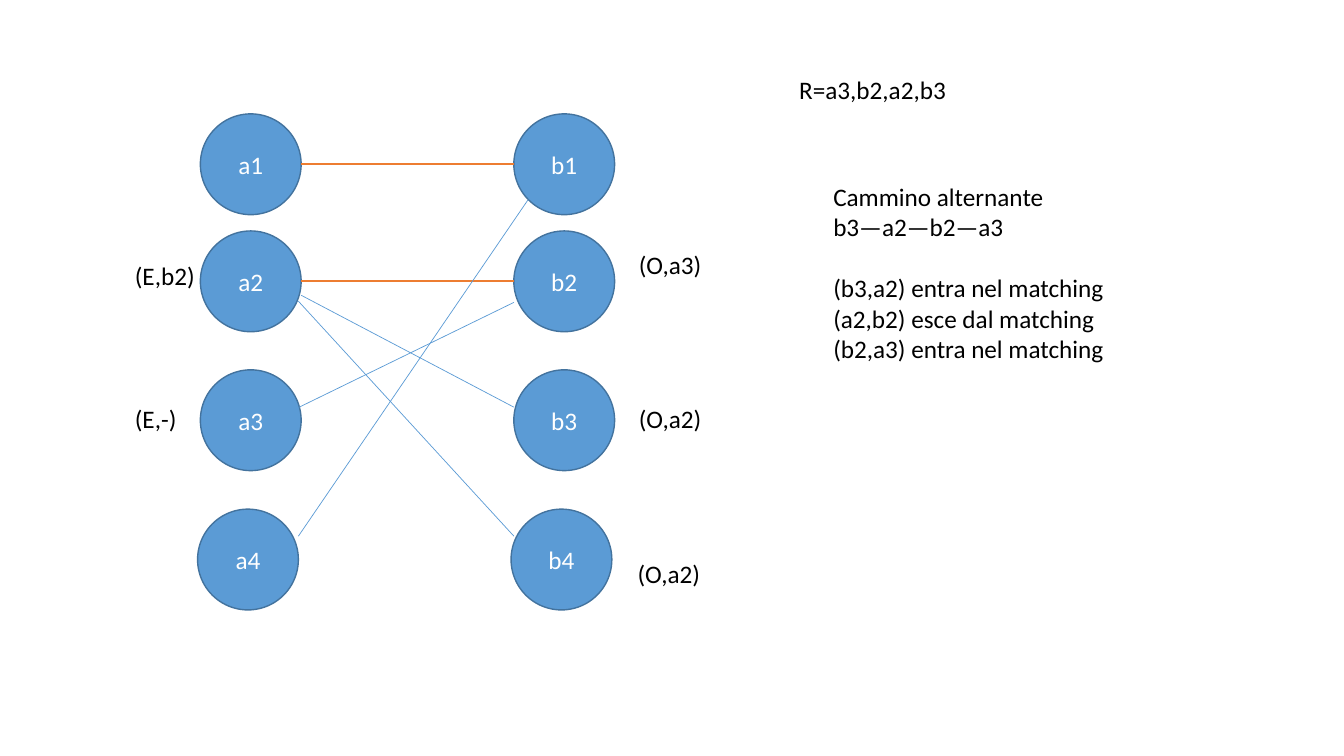
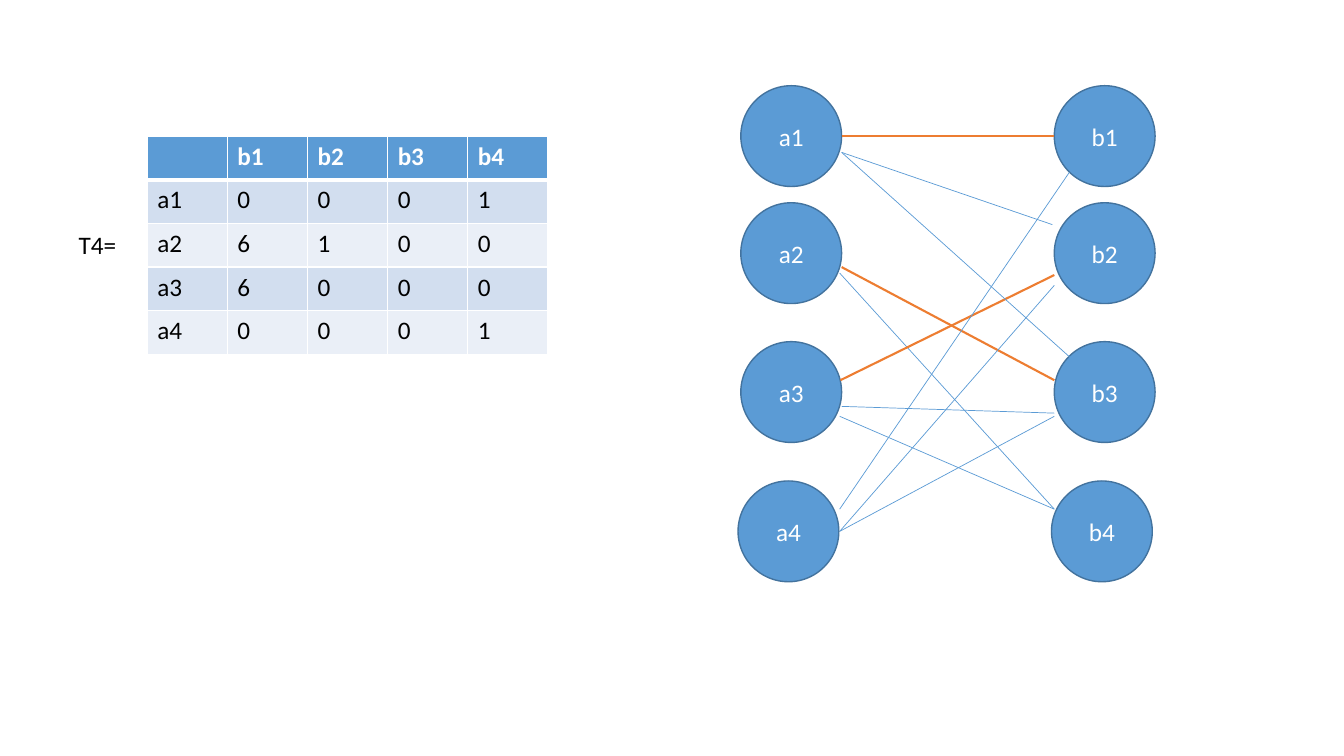
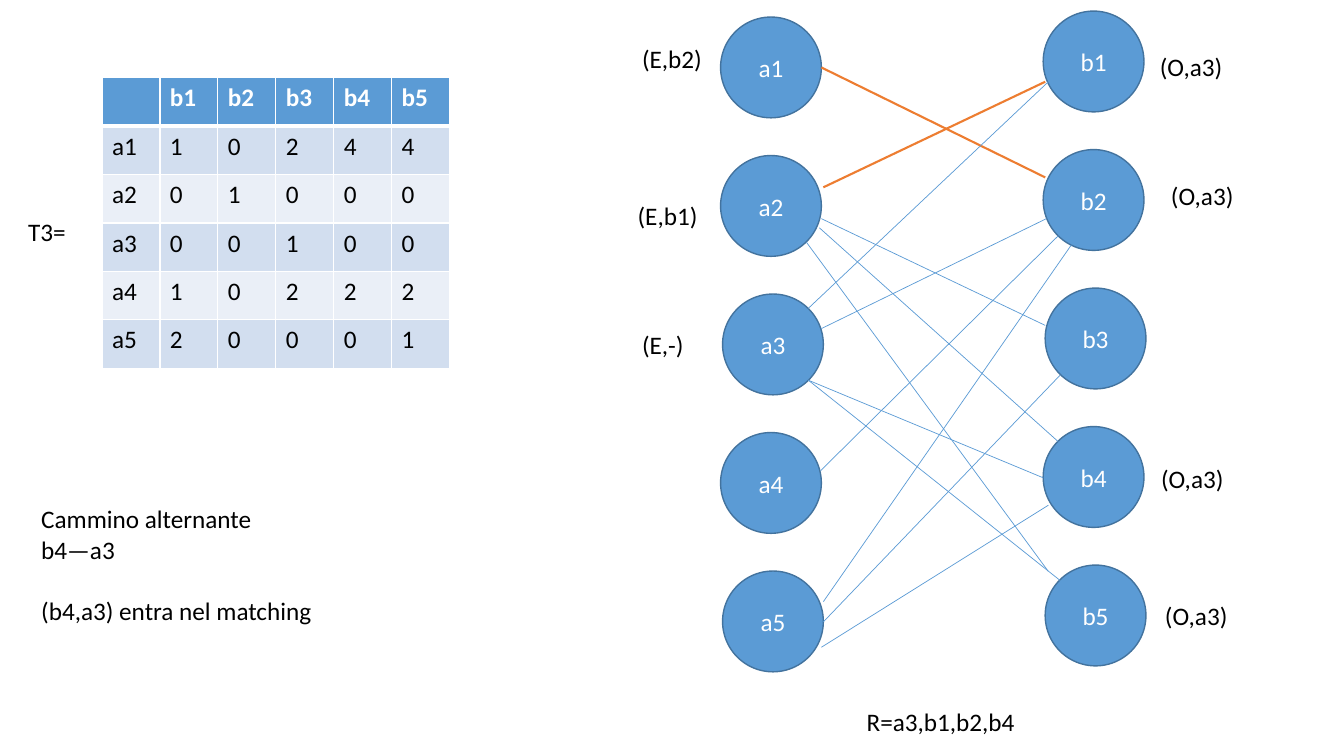
from dataclasses import dataclass

from lxml import etree
from pptx import Presentation
from pptx.dml.color import RGBColor
from pptx.enum.shapes import MSO_CONNECTOR, MSO_SHAPE
from pptx.enum.text import MSO_ANCHOR, MSO_AUTO_SIZE, PP_ALIGN
from pptx.oxml.ns import qn
from pptx.util import Cm, Pt

# Shared look
BLUE = RGBColor(0x5B, 0x9B, 0xD5)
DARK_BLUE = RGBColor(0x43, 0x73, 0x9E)
ORANGE = RGBColor(0xED, 0x7D, 0x31)
BAND_DARK = RGBColor(0xD2, 0xDE, 0xEF)
BAND_LIGHT = RGBColor(0xEA, 0xEF, 0xF7)
WHITE = RGBColor(0xFF, 0xFF, 0xFF)
BLACK = RGBColor(0x00, 0x00, 0x00)

OVAL = MSO_SHAPE.OVAL
STRAIGHT = MSO_CONNECTOR.STRAIGHT
MIDDLE = MSO_ANCHOR.MIDDLE
CENTER = PP_ALIGN.CENTER
FIT_SHAPE = MSO_AUTO_SIZE.SHAPE_TO_FIT_TEXT

BODY_FONT = {"name": "Calibri", "size": Pt(18), "bold": False}
HEADER_FONT = {**BODY_FONT, "bold": True}
LINE_HEIGHT = 0.78
TEXT_INSETS = 0.25
BLOCK_GAP = Pt(22)
DIAMETER = 2.54


# All lengths below are in centimetres
@dataclass(frozen=True)
class Column:
    letter: str
    lefts: tuple[float, ...]
    tops: tuple[float, ...]

    def moved(self, right: float, down: float) -> "Column":
        return Column(self.letter,
                      tuple(left + right for left in self.lefts),
                      tuple(top + down for top in self.tops))


@dataclass(frozen=True)
class Edge:
    x1: float
    y1: float
    x2: float
    y2: float
    matched: bool = False


@dataclass(frozen=True)
class Label:
    left: float
    top: float
    width: float
    blocks: tuple[tuple[str, ...], ...]
    wraps: bool = False


@dataclass(frozen=True)
class CostTable:
    left: float
    top: float
    column_width: float
    row_height: float
    rows: tuple[str, ...]


@dataclass(frozen=True)
class Page:
    columns: tuple[Column, ...]
    edges: tuple[Edge, ...]
    labels: tuple[Label, ...]
    table: CostTable | None = None


def tag(left: float, top: float, text: str, width: float = 2.11) -> Label:
    return Label(left, top, width, ((text,),))


# Node columns
FOUR_TOPS = (2.87, 5.82, 9.32, 12.83)
FOUR_COLUMNS = (
    Column("a", (5.05, 5.05, 5.05, 4.98), FOUR_TOPS),
    Column("b", (12.95, 12.95, 12.95, 12.88), FOUR_TOPS),
)
FIVE_COLUMNS = (
    Column("a", (18.16, 18.16, 18.21, 18.16, 18.21),
           tuple(0.43 + 3.49 * row for row in range(5))),
    Column("b", (26.29, 26.29, 26.34, 26.29, 26.34),
           tuple(0.28 + 3.49 * row for row in range(5))),
)

PAGES = (
    # Alternating path on four pairs
    Page(
        FOUR_COLUMNS,
        (
            Edge(7.59, 4.14, 12.95, 4.14, True),
            Edge(7.59, 7.09, 12.95, 7.09, True),
            Edge(7.59, 7.44, 12.95, 10.26),
            Edge(7.52, 7.59, 12.95, 13.51),
            Edge(7.54, 10.26, 12.95, 7.62),
            Edge(7.52, 13.51, 13.31, 5.03),
        ),
        (
            tag(3.15, 10.03, "(E,-)", 1.57),
            tag(15.85, 6.17, "(O,a3)"),
            tag(3.15, 6.43, "(E,b2)", 2.03),
            tag(15.85, 10.03, "(O,a2)"),
            tag(15.82, 13.94, "(O,a2)"),
            Label(20.75, 4.45, 7.42, (
                ("Cammino alternante", "b3—a2—b2—a3"),
                ("(b3,a2) entra nel matching", "(a2,b2) esce dal matching",
                 "(b2,a3) entra nel matching"),
            )),
            tag(19.89, 1.75, "R=a3,b2,a2,b3", 4.24),
        ),
    ),
    # Matrix T4 and its graph
    Page(
        tuple(column.moved(13.62, -0.71) for column in FOUR_COLUMNS),
        (
            Edge(21.21, 3.43, 26.57, 3.43, True),
            Edge(21.21, 6.73, 26.57, 9.58, True),
            Edge(21.16, 6.88, 26.57, 12.83),
            Edge(21.18, 9.58, 26.57, 6.93, True),
            Edge(21.16, 12.83, 26.95, 4.34),
            Edge(21.21, 3.84, 26.52, 5.66),
            Edge(21.16, 13.39, 26.57, 7.19),
            Edge(21.21, 3.84, 26.95, 8.99),
            Edge(21.21, 10.24, 26.57, 10.41),
            Edge(21.16, 13.39, 26.57, 10.49),
            Edge(21.16, 10.49, 26.57, 12.83),
        ),
        (tag(1.73, 5.66, "T4=", 1.47),),
        CostTable(3.71, 3.43, 2.02, 1.1, ("0001", "6100", "6000", "0001")),
    ),
    # Matrix T3, its graph and the path found
    Page(
        FIVE_COLUMNS,
        (
            Edge(20.7, 1.7, 26.34, 4.47, True),
            Edge(20.75, 4.72, 26.34, 2.06, True),
            Edge(20.7, 5.51, 26.34, 8.2),
            Edge(20.65, 5.74, 26.67, 11.13),
            Edge(20.32, 6.1, 26.42, 14.4),
            Edge(20.7, 8.28, 26.37, 5.51),
            Edge(20.68, 11.86, 26.67, 5.94),
            Edge(20.75, 15.16, 27, 6.17),
            Edge(20.37, 7.77, 26.42, 2.06),
            Edge(20.37, 9.58, 26.29, 12.04),
            Edge(20.37, 9.58, 26.72, 14.63),
            Edge(20.75, 15.67, 26.72, 9.45),
            Edge(20.7, 16.31, 26.42, 12.73),
        ),
        (
            Label(0.46, 5.33, 2.11, (("T3=",),), wraps=True),
            tag(15.93, 8.18, "(E,-)", 1.57),
            tag(29.26, 4.42, "(O,a3)"),
            tag(15.93, 0.97, "(E,b2)", 2.03),
            tag(21.59, 17.68, "R=a3,b1,b2,b4", 4.45),
            tag(28.98, 1.17, "(O,a3)"),
            tag(15.82, 4.93, "(E,b1)", 2.03),
            tag(29.01, 11.56, "(O,a3)"),
            tag(29.11, 15.01, "(O,a3)"),
            Label(0.79, 12.57, 7.42, (
                ("Cammino alternante", "b4—a3"),
                ("(b4,a3) entra nel matching",),
            )),
        ),
        CostTable(2.57, 1.96, 1.46, 1.22,
                  ("10244", "01000", "00100", "10222", "20001")),
    ),
)


def write_span(para, text: str, color: RGBColor, style: dict = BODY_FONT) -> None:
    span = para.add_run()
    span.text = text
    for name, value in style.items():
        setattr(span.font, name, value)
    span.font.color.rgb = color


def draw_column(slide, column: Column) -> None:
    for number, (left, top) in enumerate(zip(column.lefts, column.tops), 1):
        node = slide.shapes.add_shape(OVAL, Cm(left), Cm(top),
                                      Cm(DIAMETER), Cm(DIAMETER))
        node.shadow.inherit = False
        node.fill.solid()
        node.fill.fore_color.rgb = BLUE
        node.line.color.rgb = DARK_BLUE
        node.line.width = Pt(1)
        node.text_frame.vertical_anchor = MIDDLE
        para = node.text_frame.paragraphs[0]
        para.alignment = CENTER
        write_span(para, f"{column.letter}{number}", WHITE)


def draw_edge(slide, edge: Edge) -> None:
    line = slide.shapes.add_connector(STRAIGHT, Cm(edge.x1), Cm(edge.y1),
                                      Cm(edge.x2), Cm(edge.y2))
    line.line.color.rgb = ORANGE if edge.matched else BLUE
    line.line.width = Pt(1.5 if edge.matched else 0.5)
    etree.SubElement(line._element.spPr, qn("a:effectLst"))


def draw_label(slide, label: Label) -> None:
    line_count = sum(map(len, label.blocks)) + len(label.blocks) - 1
    height = TEXT_INSETS + LINE_HEIGHT * line_count
    box = slide.shapes.add_textbox(Cm(label.left), Cm(label.top),
                                   Cm(label.width), Cm(height))
    frame = box.text_frame
    frame.word_wrap = label.wraps
    frame.auto_size = FIT_SHAPE
    para = frame.paragraphs[0]
    for block_index, block in enumerate(label.blocks):
        for line_index, text in enumerate(block):
            if block_index or line_index:
                para = frame.add_paragraph()
            if block_index and not line_index:
                para.space_before = BLOCK_GAP
            write_span(para, text, BLACK)


def set_borders(cell, top: float, bottom: float) -> None:
    properties = cell._tc.get_or_add_tcPr()
    widths = {"a:lnL": 1, "a:lnR": 1, "a:lnT": top, "a:lnB": bottom}
    for position, (side, width) in enumerate(widths.items()):
        border = etree.Element(qn(side), w=str(Pt(width)))
        fill = etree.SubElement(border, qn("a:solidFill"))
        etree.SubElement(fill, qn("a:srgbClr"), val=str(WHITE))
        properties.insert(position, border)


def draw_table(slide, costs: CostTable) -> None:
    size = len(costs.rows) + 1
    header = ["", *(f"b{number}" for number in range(1, size))]
    body = [[f"a{number}", *row] for number, row in enumerate(costs.rows, 1)]
    table = slide.shapes.add_table(
        size, size, Cm(costs.left), Cm(costs.top),
        Cm(costs.column_width * size), Cm(costs.row_height * size)).table
    for column in table.columns:
        column.width = Cm(costs.column_width)
    for row_index, texts in enumerate([header, *body]):
        table.rows[row_index].height = Cm(costs.row_height)
        is_header = row_index == 0
        band = BAND_DARK if row_index % 2 else BAND_LIGHT
        for column_index, text in enumerate(texts):
            cell = table.cell(row_index, column_index)
            cell.fill.solid()
            cell.fill.fore_color.rgb = BLUE if is_header else band
            set_borders(cell, top=3 if row_index == 1 else 1,
                        bottom=3 if is_header else 1)
            if text:
                write_span(cell.text_frame.paragraphs[0], text,
                           WHITE if is_header else BLACK,
                           HEADER_FONT if is_header else BODY_FONT)


def main() -> None:
    deck = Presentation()
    deck.slide_width, deck.slide_height = Cm(33.87), Cm(19.05)
    blank = deck.slide_layouts[6]
    for page in PAGES:
        slide = deck.slides.add_slide(blank)
        if page.table:
            draw_table(slide, page.table)
        for column in page.columns:
            draw_column(slide, column)
        for edge in page.edges:
            draw_edge(slide, edge)
        for label in page.labels:
            draw_label(slide, label)
    deck.save("out.pptx")


if __name__ == "__main__":
    main()
